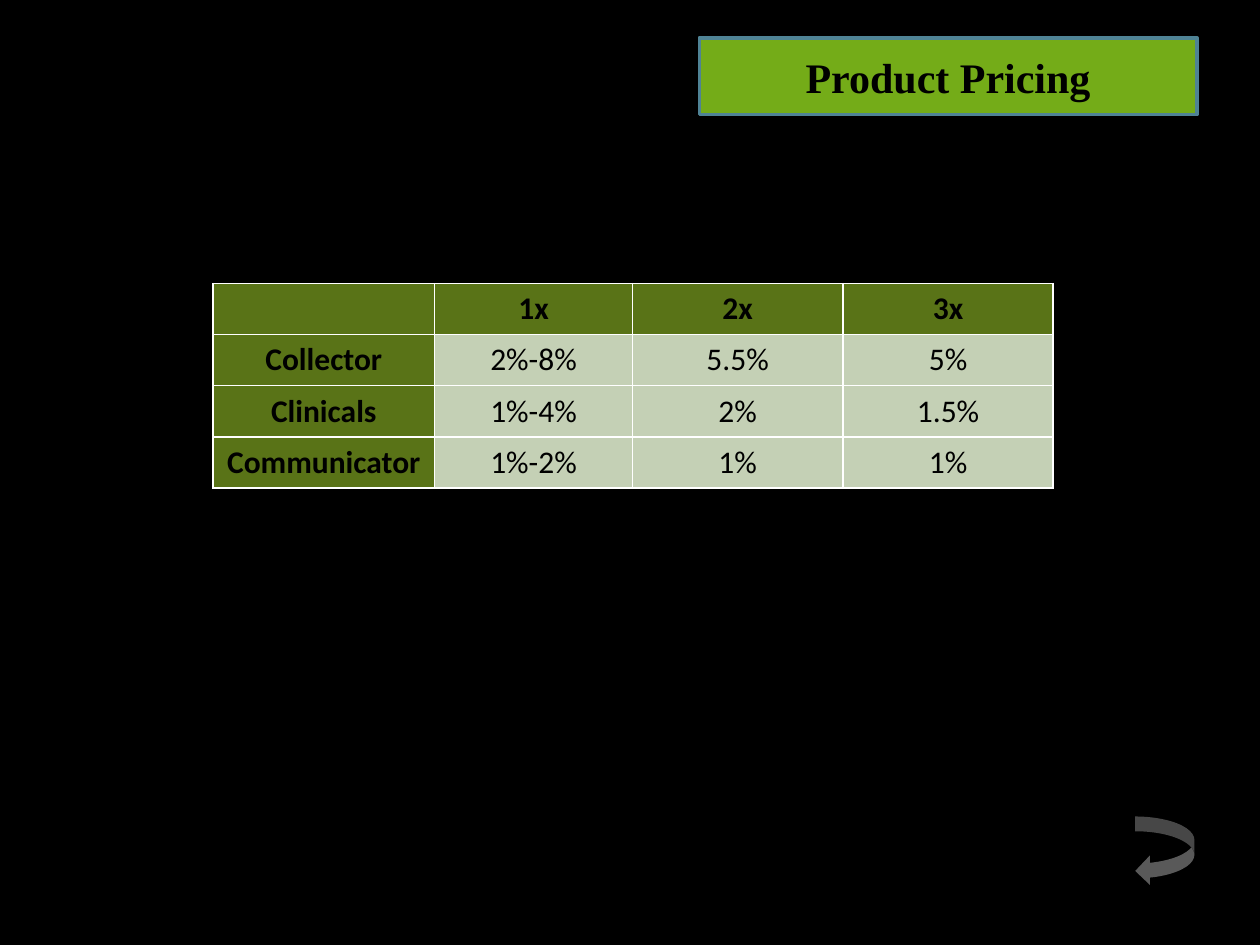
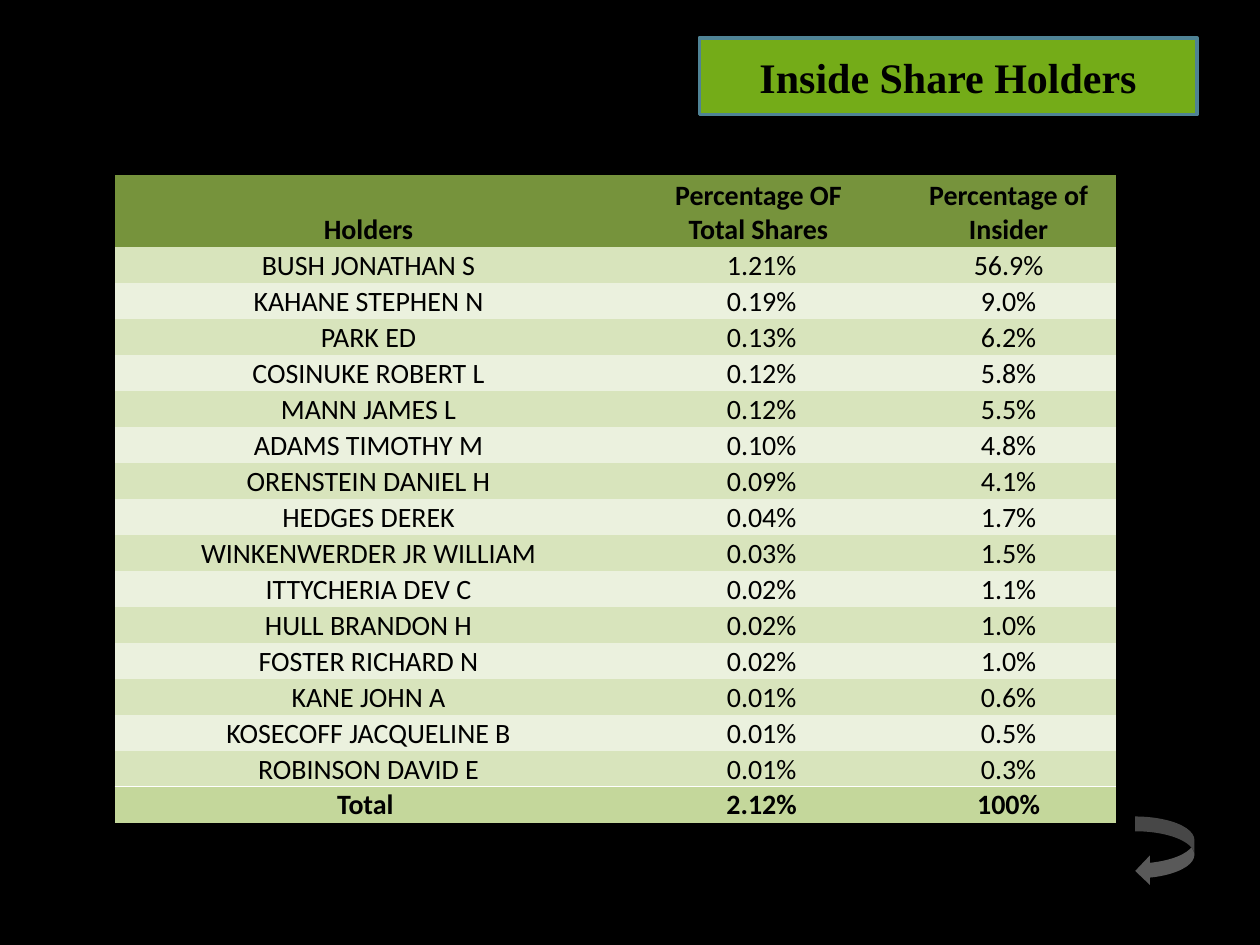
import dataclasses

import lxml.etree
import pptx
import pptx.dml.color
import pptx.enum.shapes
import pptx.enum.text
import pptx.oxml.ns
import pptx.util

RGBColor = pptx.dml.color.RGBColor
BLACK = RGBColor(0x00, 0x00, 0x00)
WHITE = RGBColor(0xFF, 0xFF, 0xFF)
TITLE_GREEN = RGBColor(0x74, 0xAC, 0x18)
TITLE_EDGE = RGBColor(0x4F, 0x83, 0x95)
ARROW_GREY = RGBColor(0x59, 0x59, 0x59)
PRICE_HEAD = RGBColor(0x59, 0x73, 0x17)
PRICE_BODY = RGBColor(0xC4, 0xD0, 0xB5)
HOLDER_HEAD = RGBColor(0x76, 0x93, 0x3C)
HOLDER_BANDS = (RGBColor(0xD8, 0xE4, 0xBC), RGBColor(0xEB, 0xF1, 0xDE))
HOLDER_TOTAL = RGBColor(0xC4, 0xD7, 0x9B)

TITLE_FONT = "Times New Roman"
TABLE_FONT = "Calibri"
PLAIN_TABLE_STYLE = "{2D5ABB26-0587-4C30-8999-92F81FD0307C}"
GRID_COLUMNS, GRID_ROWS = 100, 75
SLIDE_WIDTH = pptx.util.Inches(10)
SLIDE_HEIGHT = pptx.util.Inches(7.5)

PRICES = [
    ("", "1x", "2x", "3x"),
    ("Collector", "2%-8%", "5.5%", "5%"),
    ("Clinicals", "1%-4%", "2%", "1.5%"),
    ("Communicator", "1%-2%", "1%", "1%"),
]
HOLDERS = [
    ("Holders", "Percentage OF \nTotal Shares ", "Percentage of Insider"),
    ("BUSH JONATHAN S", "1.21%", "56.9%"),
    ("KAHANE STEPHEN N", "0.19%", "9.0%"),
    ("PARK ED", "0.13%", "6.2%"),
    ("COSINUKE ROBERT L", "0.12%", "5.8%"),
    ("MANN JAMES L", "0.12%", "5.5%"),
    ("ADAMS TIMOTHY M", "0.10%", "4.8%"),
    ("ORENSTEIN DANIEL H", "0.09%", "4.1%"),
    ("HEDGES DEREK", "0.04%", "1.7%"),
    ("WINKENWERDER JR WILLIAM", "0.03%", "1.5%"),
    ("ITTYCHERIA DEV C", "0.02%", "1.1%"),
    ("HULL BRANDON H", "0.02%", "1.0%"),
    ("FOSTER RICHARD N", "0.02%", "1.0%"),
    ("KANE JOHN A", "0.01%", "0.6%"),
    ("KOSECOFF JACQUELINE B", "0.01%", "0.5%"),
    ("ROBINSON DAVID E", "0.01%", "0.3%"),
    ("Total ", "2.12%", "100%"),
]


@dataclasses.dataclass
class Box:
    column: float
    row: float
    columns: float
    rows: float

    def place(self):
        across, down = SLIDE_WIDTH / GRID_COLUMNS, SLIDE_HEIGHT / GRID_ROWS
        return [round(length) for length in (
            self.column * across, self.row * down,
            self.columns * across, self.rows * down)]


TITLE_BOX = Box(55.5, 3, 39.5, 6.1)
ARROW_BOX = Box(90.1, 64.8, 4.7, 5.5)
PRICE_BOX = Box(16.9, 22.5, 66.7, 16.2)
HOLDER_BOX = Box(9.1, 13.9, 79.5, 51.4)


def format_text(frame, font, size, bold):
    for para in frame.paragraphs:
        para.alignment = pptx.enum.text.PP_ALIGN.CENTER
        for span in para.runs:
            span.font.name = font
            span.font.size = pptx.util.Pt(size)
            span.font.bold = bold
            span.font.color.rgb = BLACK


def add_title(page, text, box):
    title = page.shapes.title
    title.left, title.top, title.width, title.height = box.place()
    title.fill.solid()
    title.fill.fore_color.rgb = TITLE_GREEN
    title.line.color.rgb = TITLE_EDGE
    title.line.width = pptx.util.Pt(2)
    frame = title.text_frame
    frame.text = text
    frame.auto_size = pptx.enum.text.MSO_AUTO_SIZE.NONE
    frame.vertical_anchor = pptx.enum.text.MSO_ANCHOR.MIDDLE
    format_text(frame, TITLE_FONT, 24, True)


def add_return_arrow(page, box):
    arrow = page.shapes.add_shape(
        pptx.enum.shapes.MSO_SHAPE.CURVED_LEFT_ARROW, *box.place())
    arrow.shadow.inherit = False
    arrow.fill.solid()
    arrow.fill.fore_color.rgb = ARROW_GREY
    arrow.line.fill.background()


def add_page(deck, title):
    page = deck.slides.add_slide(deck.slide_layouts[5])
    page.background.fill.solid()
    page.background.fill.fore_color.rgb = BLACK
    add_title(page, title, TITLE_BOX)
    add_return_arrow(page, ARROW_BOX)
    return page


def add_grid(page, rows, box, column_weights, row_weights):
    left, top, width, height = box.place()
    graphic = page.shapes.add_table(
        len(rows), len(column_weights), left, top, width, height)
    qn = pptx.oxml.ns.qn
    graphic.element.find(".//" + qn("a:tableStyleId")).text = PLAIN_TABLE_STYLE
    table = graphic.table
    table.first_row = table.horz_banding = False
    for column, weight in zip(table.columns, column_weights):
        column.width = round(width * weight / sum(column_weights))
    for row, weight in zip(table.rows, row_weights):
        row.height = round(height * weight / sum(row_weights))
    return table


def set_borders(cell, sides):
    qn = pptx.oxml.ns.qn
    properties = cell._tc.get_or_add_tcPr()
    for side in sides:
        line = lxml.etree.SubElement(
            properties, qn("a:ln" + side), w=str(pptx.util.Pt(1)))
        fill = lxml.etree.SubElement(line, qn("a:solidFill"))
        lxml.etree.SubElement(fill, qn("a:srgbClr"), val=str(WHITE))


def fill_cell(cell, text, size, bold, color, sides):
    set_borders(cell, sides)
    cell.fill.solid()
    cell.fill.fore_color.rgb = color
    cell.text_frame.text = text
    format_text(cell.text_frame, TABLE_FONT, size, bold)


def add_pricing(page, box):
    table = add_grid(page, PRICES, box, (1.76, 1.57, 1.67, 1.67),
                     [1] * len(PRICES))
    for r, row in enumerate(PRICES):
        for c, text in enumerate(row):
            heading = r == 0 or c == 0
            fill_cell(table.cell(r, c), text, 18, heading,
                      PRICE_HEAD if heading else PRICE_BODY, "LRTB")


def add_holders(page, box):
    last = len(HOLDERS) - 1
    table = add_grid(page, HOLDERS, box, (4.03, 2.21, 1.71), [2] + [1] * last)
    colors = {0: HOLDER_HEAD, last: HOLDER_TOTAL}
    rules = {last - 1: "B", last: "T"}
    for r, row in enumerate(HOLDERS):
        color = colors.get(r, HOLDER_BANDS[(r - 1) % 2])
        for c, text in enumerate(row):
            cell = table.cell(r, c)
            fill_cell(cell, text, 16, r in colors, color, rules.get(r, ""))
            cell.vertical_anchor = pptx.enum.text.MSO_ANCHOR.BOTTOM
            cell.margin_left = cell.margin_right = pptx.util.Inches(0.01)
            cell.margin_top = pptx.util.Inches(0.01)
            cell.margin_bottom = 0


def main():
    deck = pptx.Presentation()
    deck.slide_width, deck.slide_height = SLIDE_WIDTH, SLIDE_HEIGHT
    add_pricing(add_page(deck, "Product Pricing"), PRICE_BOX)
    add_holders(add_page(deck, "Inside Share Holders"), HOLDER_BOX)
    deck.save("out.pptx")


if __name__ == "__main__":
    main()
